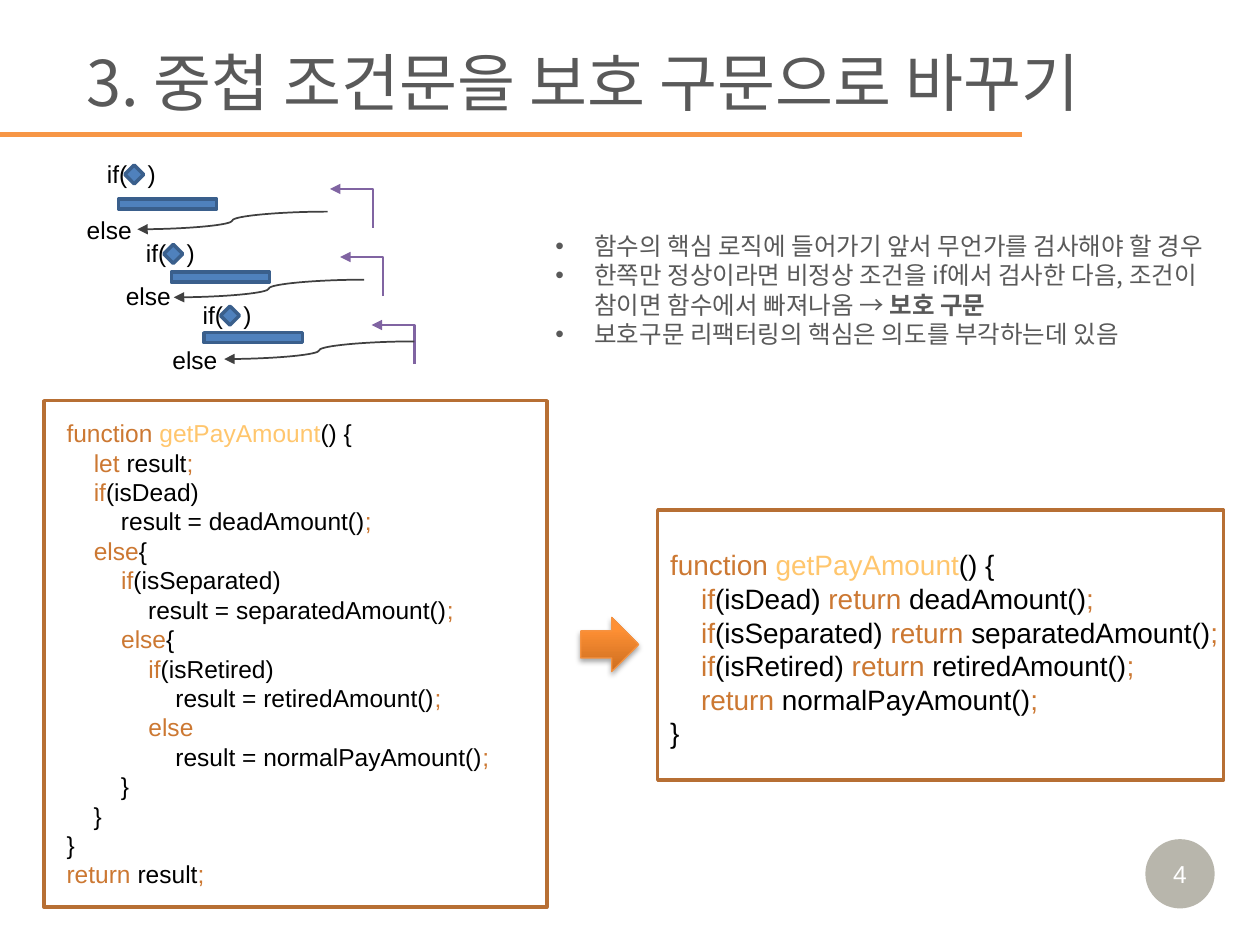
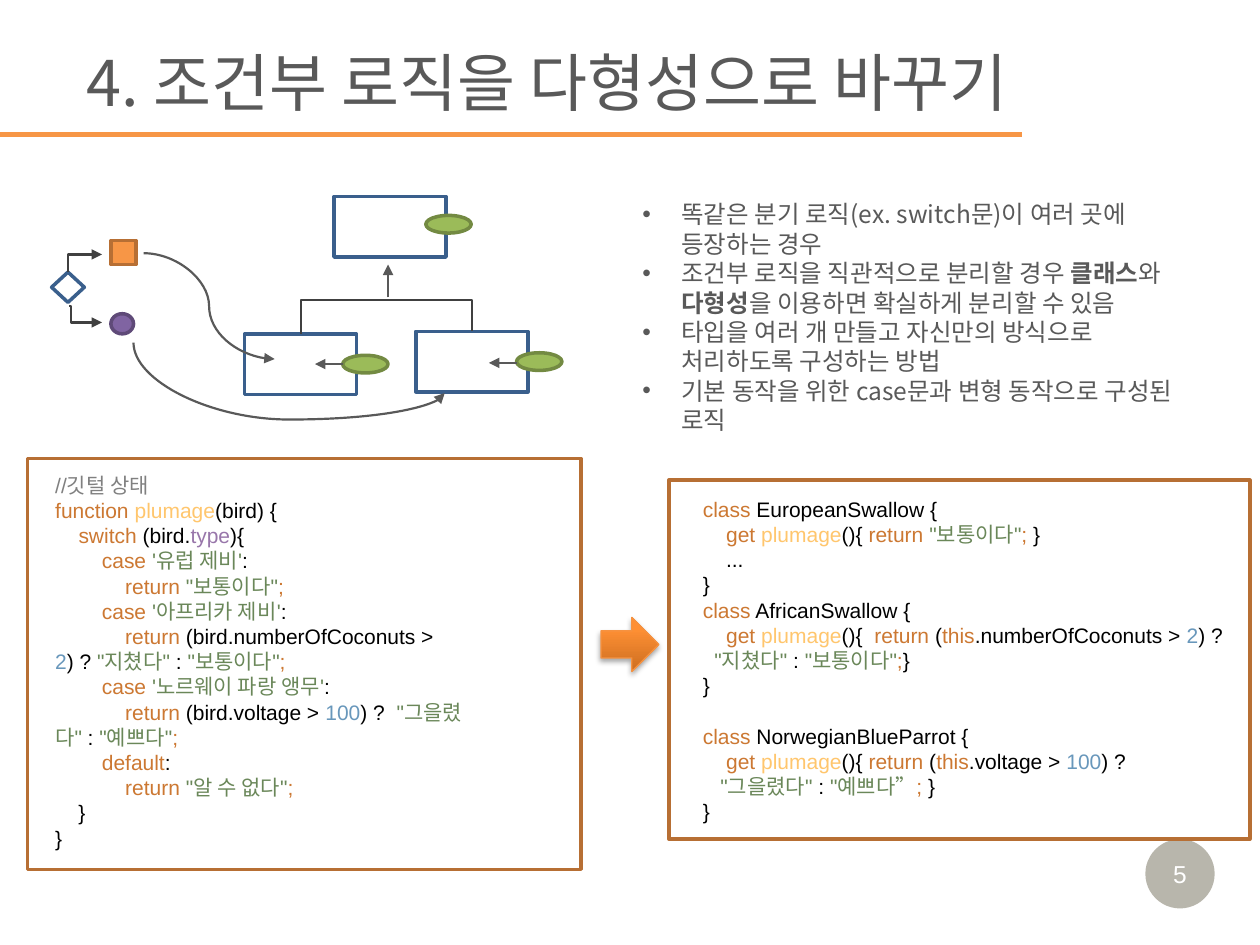
from itertools import groupby

from lxml import etree
from pptx import Presentation
from pptx import util as u
from pptx.dml.color import RGBColor
from pptx.enum import shapes, text
from pptx.oxml.ns import qn

In, Pt = u.Inches, u.Pt
SHAPE, LINK = shapes.MSO_SHAPE, shapes.MSO_CONNECTOR
LATIN, KOREAN = "Arial", "Noto Sans CJK KR"

BLACK, WHITE = RGBColor(0, 0, 0), RGBColor(255, 255, 255)
GREY = RGBColor(0x59, 0x59, 0x59)
DARK = RGBColor(0x40, 0x40, 0x40)
ORANGE, BROWN = RGBColor(0xF7, 0x96, 0x46), RGBColor(0xB7, 0x6F, 0x34)
BLUE, NAVY = RGBColor(0x4F, 0x81, 0xBD), RGBColor(0x3A, 0x5F, 0x8C)
PURPLE, PLUM = RGBColor(0x80, 0x64, 0xA2), RGBColor(0x5F, 0x4A, 0x78)
GREEN, OLIVE = RGBColor(0x9B, 0xBB, 0x59), RGBColor(0x73, 0x8A, 0x42)
BADGE = RGBColor(0x4A, 0x45, 0x2A)
ARROW_DARK, ARROW_LIGHT = RGBColor(0xCC, 0x6E, 0x20), RGBColor(0xFF, 0x90, 0x34)
ARROW_EDGE = RGBColor(0xF6, 0x92, 0x40)

CODE_KEYWORD = RGBColor(0xCC, 0x78, 0x32)
CODE_NAME = RGBColor(0xFF, 0xC6, 0x6D)
CODE_STRING = RGBColor(0x6A, 0x87, 0x59)
CODE_NUMBER = RGBColor(0x68, 0x97, 0xBB)
CODE_COMMENT = RGBColor(0x80, 0x80, 0x80)
WORD_COLOURS = dict.fromkeys(
    "function let if else return class get this switch case default".split(), CODE_KEYWORD)
WORD_COLOURS.update(getPayAmount=CODE_NAME, plumage=CODE_NAME,
                    type=RGBColor(0x98, 0x76, 0xAA))
QUOTES = "\"'”"

NESTED_CODE = """function getPayAmount() {
    let result;
    if(isDead)
        result = deadAmount();
    else{
        if(isSeparated)
            result = separatedAmount();
        else{
            if(isRetired)
                result = retiredAmount();
            else
                result = normalPayAmount();
        }
    }
}
return result;"""

GUARD_CODE = """function getPayAmount() {
    if(isDead) return deadAmount();
    if(isSeparated) return separatedAmount();
    if(isRetired) return retiredAmount();
    return normalPayAmount();
}"""

SWITCH_CODE = """//깃털 상태
function plumage(bird) {
    switch (bird.type){
        case '유럽 제비':
            return "보통이다";
        case '아프리카 제비':
            return (bird.numberOfCoconuts >
2) ? "지쳤다" : "보통이다";
        case '노르웨이 파랑 앵무':
            return (bird.voltage > 100) ?  "그을렸
다" : "예쁘다";
        default:
            return "알 수 없다";
    }
}"""

CLASS_CODE = """class EuropeanSwallow {
    get plumage(){ return "보통이다"; }
    ...
}
class AfricanSwallow {
    get plumage(){  return (this.numberOfCoconuts > 2) ?
  "지쳤다" : "보통이다";}
}

class NorwegianBlueParrot {
    get plumage(){ return (this.voltage > 100) ?
   "그을렸다" : "예쁘다”; }
}"""


def tokens(code):
    """Yield (colour, text) for each token of the code."""
    i = 0
    while i < len(code):
        c, rest = code[i], range(i + 1, len(code))
        if code.startswith("//", i):
            end, colour = code.index("\n", i), CODE_COMMENT
        elif c in QUOTES:
            end, colour = 1 + next(j for j in rest if code[j] in QUOTES), CODE_STRING
        elif c.isalnum():
            end = next((j for j in rest if not code[j].isalnum()), len(code))
            word = code[i:end]
            colour = CODE_NUMBER if word.isdigit() else WORD_COLOURS.get(word, BLACK)
        else:
            end, colour = i + 1, CODE_KEYWORD if c == ";" else BLACK
        yield colour, code[i:end]
        i = end


def add_xml(parent, tag, **attrs):
    sub = etree.SubElement(parent, qn(tag))
    for name, value in attrs.items():
        sub.set(name, str(value))
    return sub


def add_text(p, words, size=14, font=LATIN, colour=BLACK, bold=False):
    """Append words to a paragraph; a newline becomes a line break."""
    for i, line in enumerate(words.split("\n")):
        if i:
            p.add_line_break()
        if not line:
            continue
        r = p.add_run()
        r.text = line
        r.font.size, r.font.name, r.font.bold = Pt(size), font, bold
        r.font.color.rgb = colour
        add_xml(r.font._element, "a:ea", typeface=KOREAN)


class Deck:
    def __init__(self):
        self.prs = Presentation()
        self.prs.slide_width, self.prs.slide_height = In(10), In(7.5)

    def slide(self, number, title):
        self.s = self.prs.slides.add_slide(self.prs.slide_layouts[6])
        badge = self.shape(SHAPE.OVAL, 9.09, 6.66, 0.55, 0.55, BADGE)
        colour = badge.fill._xPr.find(".//" + qn("a:srgbClr"))
        add_xml(colour, "a:alpha", val=39000)
        p = badge.text_frame.paragraphs[0]
        p.alignment = text.PP_ALIGN.CENTER
        add_text(p, str(number), colour=WHITE)
        tf = self.box(0.59, 0.29, 9.41, 0.71, text.MSO_ANCHOR.MIDDLE)
        add_text(tf.paragraphs[0], title, size=36, font=KOREAN, colour=GREY)
        self.link((0, 1.07), (8.11, 1.07), ORANGE, 3, head=False)

    def shape(self, kind, x, y, w, h, fill=None, line=None, width=2):
        sp = self.s.shapes.add_shape(kind, In(x), In(y), In(w), In(h))
        sp.shadow.inherit = False
        if fill is None:
            sp.fill.background()
        else:
            sp.fill.solid()
            sp.fill.fore_color.rgb = fill
        if line is None:
            sp.line.fill.background()
        else:
            sp.line.color.rgb, sp.line.width = line, Pt(width)
        return sp

    def box(self, x, y, w, h, anchor=text.MSO_ANCHOR.TOP):
        tf = self.s.shapes.add_textbox(In(x), In(y), In(w), In(h)).text_frame
        tf.word_wrap, tf.vertical_anchor = True, anchor
        return tf

    def label(self, words, x, y):
        add_text(self.box(x, y, 0.8, 0.34).paragraphs[0], words)

    def bullets(self, x, y, w, h, items):
        """Each item is plain text in which **marks** enclose bold words."""
        tf = self.box(x, y, w, h, text.MSO_ANCHOR.MIDDLE)
        for i, item in enumerate(items):
            p = tf.add_paragraph() if i else tf.paragraphs[0]
            p.line_spacing = Pt(16.8)
            pPr = p._p.get_or_add_pPr()
            pPr.set("marL", str(In(0.31)))
            pPr.set("indent", str(-In(0.31)))
            add_xml(pPr, "a:buFont", typeface=LATIN)
            add_xml(pPr, "a:buChar", char="•")
            for j, part in enumerate(item.split("**")):
                add_text(p, part, font=KOREAN, colour=GREY, bold=j % 2 == 1)

    def code(self, code, size, frame, place):
        self.shape(SHAPE.RECTANGLE, *frame, line=BROWN)
        p = self.box(*place).paragraphs[0]
        p.line_spacing = Pt(size * 1.2)
        for colour, group in groupby(tokens(code), key=lambda token: token[0]):
            add_text(p, "".join(word for _, word in group), size, colour=colour)

    def becomes_arrow(self, x):
        sp = self.shape(SHAPE.RIGHT_ARROW, x, 4.9, 0.46, 0.43, line=ARROW_EDGE, width=0.75)
        sp.fill.gradient()
        sp.fill.gradient_angle = 90
        first, last = sp.fill.gradient_stops
        first.color.rgb, first.position = ARROW_DARK, 0
        last.color.rgb, last.position = ARROW_LIGHT, 0.8
        effects = sp._element.spPr.find(qn("a:effectLst"))
        shadow = add_xml(effects, "a:outerShdw", blurRad=Pt(3.1), dist=Pt(1.8),
                         dir=5400000, rotWithShape=0)
        add_xml(add_xml(shadow, "a:srgbClr", val="000000"), "a:alpha", val=35000)

    def link(self, start, end, colour, width=1.25, kind=LINK.STRAIGHT,
             head=True, adj=None, via_y=None):
        """Connect two points; via_y leaves vertically and crosses at that height."""
        (x0, y0), (x1, y1) = start, end
        cn = self.s.shapes.add_connector(kind, In(x0), In(y0), In(x1), In(y1))
        cn.line.color.rgb, cn.line.width = colour, Pt(width)
        spPr = cn._element.spPr
        if via_y is not None:
            w, h = abs(y1 - y0), x1 - x0
            cn.left, cn.top = In((x0 + x1 - w) / 2), In((y0 + y1 - h) / 2)
            cn.width, cn.height = In(w), In(h)
            xfrm = spPr.find(qn("a:xfrm"))
            xfrm.set("rot", "16200000")
            xfrm.set("flipH", "1" if y1 > y0 else "0")
            xfrm.set("flipV", "0")
            adj = (via_y - y0) / (y1 - y0)
        if adj is not None:
            guides = spPr.find(qn("a:prstGeom")).find(qn("a:avLst"))
            add_xml(guides, "a:gd", name="adj1", fmla=f"val {round(adj * 100000)}")
        if head:
            add_xml(cn.line._get_or_add_ln(), "a:tailEnd", type="triangle")
        add_xml(spPr, "a:effectLst")


def guard_clauses(d):
    d.slide(4, "3. 중첩 조건문을 보호 구문으로 바꾸기")
    d.code(NESTED_CODE, 14, (0.35, 3.18, 3.99, 4.02), (0.43, 3.27, 4, 3.87))
    d.code(GUARD_CODE, 16, (5.22, 4.05, 4.49, 2.14), (5.22, 4.3, 4.61, 1.72))
    d.becomes_arrow(4.61)
    d.bullets(4.31, 1.47, 5.57, 1.66, [
        "함수의 핵심 로직에 들어가기 앞서 무언가를 검사해야 할 경우",
        "한쪽만 정상이라면 비정상 조건을 if에서 검사한 다음, 조건이 참이면 함수에서 "
        "빠져나옴 → **보호 구문**",
        "보호구문 리팩터링의 핵심은 의도를 부각하는데 있음"])
    levels = [  # if label, bar, else label, tip of curve, tip of elbow
        ((0.75, 1.21), (0.94, 1.58), (0.59, 1.66), (1.09, 1.82), (2.62, 1.5)),
        ((1.06, 1.84), (1.36, 2.16), (0.9, 2.18), (1.38, 2.36), (2.7, 2.04)),
        ((1.51, 2.33), (1.62, 2.64), (1.27, 2.69), (1.78, 2.85), (2.95, 2.58))]
    for (if_x, if_y), bar, else_at, curve, elbow in levels:
        d.label("if(   )", if_x, if_y)
        d.shape(SHAPE.DIAMOND, if_x + 0.24, if_y + 0.1, 0.15, 0.15, BLUE, NAVY)
        d.shape(SHAPE.RECTANGLE, *bar, 0.78, 0.08, BLUE, NAVY)
        d.label("else", *else_at)
        d.link((elbow[0] + 0.34, elbow[1] + 0.31), elbow, PURPLE, kind=LINK.ELBOW, adj=0)
        d.link((curve[0] + 1.51, curve[1] - 0.14), curve, DARK, 1, LINK.CURVE)


def polymorphism(d):
    d.slide(5, "4. 조건부 로직을 다형성으로 바꾸기")
    d.bullets(5, 1.47, 4.62, 2.09, [
        "똑같은 분기 로직(ex. switch문)이 여러 곳에 등장하는 경우",
        "조건부 로직을 직관적으로 분리할 경우 **클래스**와 **다형성**을 이용하면 "
        "확실하게 분리할 수 있음",
        "타입을 여러 개 만들고 자신만의 방식으로 처리하도록 구성하는 방법",
        "기본 동작을 위한 case문과 변형 동작으로 구성된 로직"])
    d.code(SWITCH_CODE, 12, (0.22, 3.64, 4.39, 3.26), (0.34, 3.7, 4.13, 3.13))
    d.code(CLASS_CODE, 12, (5.31, 3.81, 4.61, 2.85), (5.48, 3.89, 4.4, 2.73))
    d.becomes_arrow(4.77)

    d.shape(SHAPE.DIAMOND, 0.41, 2.16, 0.26, 0.24, line=NAVY)
    d.link((0.54, 2.16), (0.81, 2.02), DARK, kind=LINK.ELBOW, adj=0)
    d.link((0.55, 2.43), (0.81, 2.56), DARK, kind=LINK.ELBOW, adj=0.05)
    d.shape(SHAPE.RECTANGLE, 0.88, 1.91, 0.2, 0.19, ORANGE, BROWN)
    d.shape(SHAPE.OVAL, 0.88, 2.49, 0.18, 0.16, PURPLE, PLUM)

    for x, y in ((1.94, 2.65), (3.3, 2.63), (2.65, 1.56)):
        d.shape(SHAPE.RECTANGLE, x, y, 0.89, 0.48, line=NAVY)
    for x, y in ((3.38, 1.71), (2.72, 2.82), (4.1, 2.8)):
        d.shape(SHAPE.OVAL, x, y, 0.36, 0.14, GREEN, OLIVE)
    d.link((2.39, 2.65), (3.75, 2.63), DARK, kind=LINK.ELBOW, head=False, via_y=2.38)
    d.link((3.08, 2.36), (3.08, 2.1), GREY)
    for x, y in ((2.72, 2.89), (4.1, 2.88)):
        d.link((x, y), (x - 0.22, y), GREY)
    d.link((1.14, 2.01), (2.18, 2.85), GREY, kind=LINK.CURVE)
    d.link((1.06, 2.72), (3.53, 3.12), GREY, kind=LINK.CURVE, via_y=3.33)


def main():
    d = Deck()
    guard_clauses(d)
    polymorphism(d)
    d.prs.save("out.pptx")


if __name__ == "__main__":
    main()
